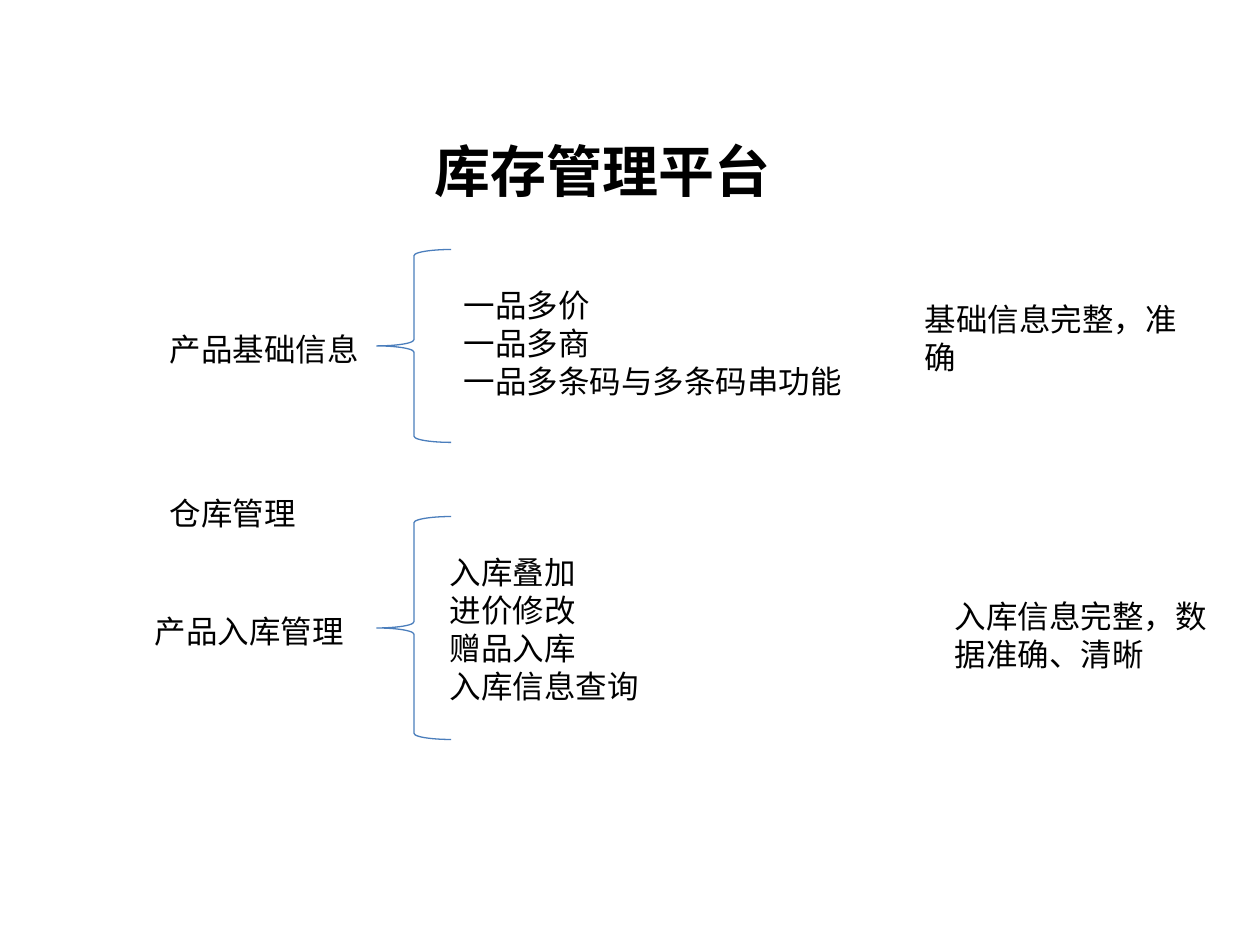
"""Build the inventory management platform slide."""
from typing import NamedTuple

from lxml.etree import SubElement
from pptx import Presentation
from pptx.dml.color import RGBColor as RGB
from pptx.enum.shapes import MSO_SHAPE as SHAPE
from pptx.enum.text import MSO_ANCHOR as ANCHOR, MSO_AUTO_SIZE as FIT, PP_ALIGN as ALIGN
from pptx.oxml.ns import qn
from pptx.util import Pt

COLORS = {"text": "000000", "brace": "4B7EBC"}
FONT = {"name": "Arial", "size": Pt(18), "bold": False}
TITLE_FONT = FONT | {"size": Pt(32), "bold": True}
FRAME = {"auto_size": FIT.SHAPE_TO_FIT_TEXT, "vertical_anchor": ANCHOR.TOP, "word_wrap": True}
LABEL_FRAME = FRAME | {"word_wrap": False}
PARA = {"alignment": ALIGN.LEFT, "space_before": Pt(0), "space_after": Pt(0)}
LABEL_INDENT = Pt(36)


class Box(NamedTuple):
    left: float
    top: float
    width: float
    height: float


class Block(NamedTuple):
    box: Box
    lines: list[str]


TITLE = Block(Box(241.2, 74.2, 288.7, 46.1), ["库存管理平台"])
LABELS = [
    Block(Box(54, 185, 159.8, 28.8), ["产品基础信息"]),
    Block(Box(54, 278.6, 133.9, 28.8), ["仓库管理"]),
    Block(Box(45.4, 346.3, 159.8, 28.8), ["产品入库管理"]),
]
BRACES = [Box(215.3, 142.6, 42.5, 110.2), Box(215.3, 295.2, 42.5, 127.4)]
LISTS = [
    Block(Box(257.8, 159.8, 238.3, 72.7), ["一品多价", "一品多商", "一品多条码与多条码串功能"]),
    Block(Box(249.8, 312.5, 238.3, 94.3), ["入库叠加", "进价修改", "赠品入库", "入库信息查询"]),
]
RESULTS = [
    Block(Box(521.3, 167.8, 161.3, 51.1), ["基础信息完整，准确"]),
    Block(Box(538.6, 337.7, 161.3, 51.1), ["入库信息完整，数据准确、清晰"]),
]


def apply(target: object, values: dict) -> None:
    for name, value in values.items():
        setattr(target, name, value)


def write(sp, block: Block, font: dict = FONT, frame: dict = FRAME, indent: int = 0) -> None:
    apply(sp, {name: Pt(value) for name, value in block.box._asdict().items()})
    tf = sp.text_frame
    tf.text = "\n".join(block.lines)
    apply(tf, frame)
    for p in tf.paragraphs:
        apply(p, PARA)
        pPr = p._p.get_or_add_pPr()
        pPr.set("marL", str(indent))
        pPr.set("indent", "0")
        SubElement(pPr, qn("a:buNone"))
        for r in p.runs:
            apply(r.font, font)
            r.font.color.rgb = RGB.from_string(COLORS["text"])


def add_text(s, block: Block, frame: dict = FRAME, indent: int = 0) -> None:
    write(s.shapes.add_textbox(*map(Pt, block.box)), block, FONT, frame, indent)


def add_brace(s, box: Box) -> None:
    sp = s.shapes.add_shape(SHAPE.LEFT_BRACE, *map(Pt, box))
    sp.shadow.inherit = False
    sp.fill.background()
    sp.line.color.rgb = RGB.from_string(COLORS["brace"])
    sp.line.width = Pt(0.75)


def main() -> None:
    prs = Presentation()
    apply(prs, {"slide_width": Pt(720), "slide_height": Pt(540)})
    s = prs.slides.add_slide(prs.slide_layouts.get_by_name("Two Content"))
    title, *bodies = s.placeholders
    write(title, TITLE, TITLE_FONT)
    for sp, block in zip(bodies, LISTS):
        write(sp, block)
    for block in LABELS:
        add_text(s, block, LABEL_FRAME, LABEL_INDENT)
    for box in BRACES:
        add_brace(s, box)
    for block in RESULTS:
        add_text(s, block)
    prs.save("out.pptx")


if __name__ == "__main__":
    main()
